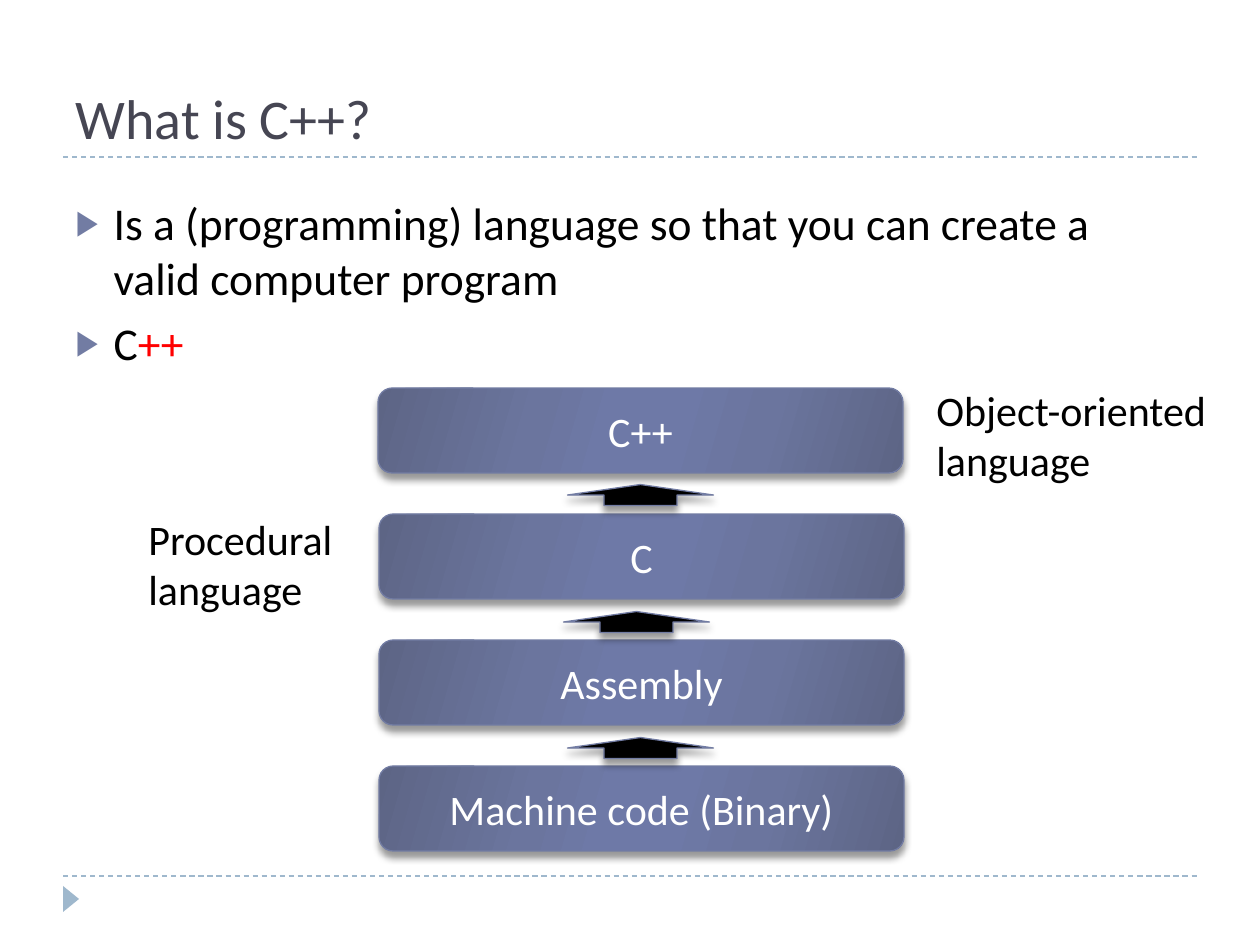
import pptx
import pptx.util
import pptx.dml.color
import pptx.enum.dml
import pptx.enum.shapes
import pptx.enum.text
import pptx.oxml

RGBColor = pptx.dml.color.RGBColor
Pt = pptx.util.Pt
SHAPE = pptx.enum.shapes.MSO_SHAPE
ALIGN = pptx.enum.text.PP_ALIGN
ANCHOR = pptx.enum.text.MSO_ANCHOR
NS = 'xmlns:a="http://schemas.openxmlformats.org/drawingml/2006/main"'

BLACK = RGBColor(0x00, 0x00, 0x00)
WHITE = RGBColor(0xFF, 0xFF, 0xFF)
RED = RGBColor(0xFF, 0x00, 0x00)
SLATE = RGBColor(0x46, 0x46, 0x53)
BLUE = RGBColor(0x72, 0x7C, 0xA3)
PALE = RGBColor(0x9F, 0xB8, 0xCD)
EDGE = RGBColor(0x5D, 0x65, 0x85)
MID = RGBColor(0x6B, 0x75, 0x9E)
CORE = RGBColor(0x6E, 0x79, 0xA7)
STOPS = [(0, EDGE), (30, MID), (45, CORE), (55, CORE), (73, MID), (100, EDGE)]


def px(*nums):
    """Turn px at 126 to the inch into EMU."""
    return [round(n * 914400 / 126) for n in nums]


def write(para, text, size, color):
    run = para.add_run()
    run.text = text
    form = {"name": "Calibri", "size": Pt(size), "bold": False}
    for key, value in form.items():
        setattr(run.font, key, value)
    run.font.color.rgb = color


deck = pptx.Presentation()
deck.slide_width, deck.slide_height = px(1260, 945)
slide = deck.slides.add_slide(deck.slide_layouts[1])
shapes = slide.shapes

# Dashed rules and corner mark
for y in (876, 157):
    rule = shapes.add_connector(
        pptx.enum.shapes.MSO_CONNECTOR.STRAIGHT, *px(63, y, 1197, y))
    rule.line.color.rgb = PALE
    rule.line.width = Pt(0.75)
    rule.line.dash_style = pptx.enum.dml.MSO_LINE.DASH
    rule._element.spPr.append(pptx.oxml.parse_xml(f"<a:effectLst {NS}/>"))

mark = shapes.add_shape(SHAPE.ISOSCELES_TRIANGLE, *px(58, 891, 26, 16))
mark.rotation = 90
mark.shadow.inherit = False
mark.fill.solid()
mark.fill.fore_color.rgb = PALE
mark.line.fill.background()

# Title and list
title, body = shapes.title, slide.placeholders[1]
for holder, box, anchor in ((title, (63, 21, 1134, 136), ANCHOR.BOTTOM),
                            (body, (63, 189, 1134, 210), ANCHOR.TOP)):
    holder.left, holder.top, holder.width, holder.height = px(*box)
    form = {"vertical_anchor": anchor, "word_wrap": True,
            "auto_size": pptx.enum.text.MSO_AUTO_SIZE.NONE}
    for key, value in form.items():
        setattr(holder.text_frame, key, value)

head = title.text_frame.paragraphs[0]
head.alignment = ALIGN.LEFT
write(head, "What is C++?", 32, SLATE)

items = [
    [("Is a (programming) language so that you can create a valid "
      "computer program", BLACK)],
    [("C", BLACK), ("++", RED)],
]
frame = body.text_frame
for i, parts in enumerate(items):
    para = frame.add_paragraph() if i else frame.paragraphs[0]
    para.space_before = Pt(6)
    props = para._p.get_or_add_pPr()
    indent, = px(38)
    props.set("marL", str(indent))
    props.set("indent", str(-indent))
    for tag in (f'<a:buClr {NS}><a:srgbClr val="{BLUE}"/></a:buClr>',
                f'<a:buSzPct {NS} val="76000"/>',
                f'<a:buFont {NS} typeface="Arial"/>',
                f'<a:buChar {NS} char="▶"/>'):
        props.append(pptx.oxml.parse_xml(tag))
    for text, color in parts:
        write(para, text, 26, color)

# Language levels, from the bottom up, then the arrows between them
levels = ["Machine code (Binary)", "Assembly", "C", "C++"]
parts = [(SHAPE.ROUNDED_RECTANGLE, (379 if i < 3 else 378, 766 - 126 * i, 525, 85), name)
         for i, name in enumerate(levels)]
parts += [(SHAPE.RIGHT_ARROW, (x, y, 21, 146), "")
          for x, y in ((630, 675), (626, 549), (630, 422))]
for kind, box, name in parts:
    part = shapes.add_shape(kind, *px(*box))
    part.line.color.rgb = BLUE
    part.line.width = Pt(0.75)
    part.shadow.inherit = False
    part._element.spPr.find(pptx.oxml.ns.qn("a:effectLst")).append(
        pptx.oxml.parse_xml(
            f'<a:outerShdw {NS} blurRad="50800" dist="43180" dir="5400000" '
            'rotWithShape="0"><a:srgbClr val="000000"><a:alpha val="40000"/>'
            '</a:srgbClr></a:outerShdw>'))
    if not name:
        part.rotation = 270
        part.fill.solid()
        part.fill.fore_color.rgb = BLACK
        continue
    part.fill.gradient()
    part.fill.gradient_angle = 360 - 16
    stops = part._element.spPr.find(".//" + pptx.oxml.ns.qn("a:gsLst"))
    for old in list(stops):
        stops.remove(old)
    for place, color in STOPS:
        stops.append(pptx.oxml.parse_xml(
            f'<a:gs {NS} pos="{place * 1000}"><a:srgbClr val="{color}"/></a:gs>'))
    part.text_frame.vertical_anchor = ANCHOR.MIDDLE
    para = part.text_frame.paragraphs[0]
    para.alignment = ALIGN.CENTER
    write(para, name, 24, WHITE)

# Side notes
notes = [((136, 507, 212, 115), ["Procedural", "language"]),
         ((924, 378, 305, 115), ["Object-oriented\vlanguage"])]
for box, lines in notes:
    frame = shapes.add_textbox(*px(*box)).text_frame
    frame.word_wrap = True
    for i, line in enumerate(lines):
        para = frame.add_paragraph() if i else frame.paragraphs[0]
        for j, piece in enumerate(line.split("\v")):
            if j:
                para.add_line_break()
            write(para, piece, 24, BLACK)

deck.save("out.pptx")
